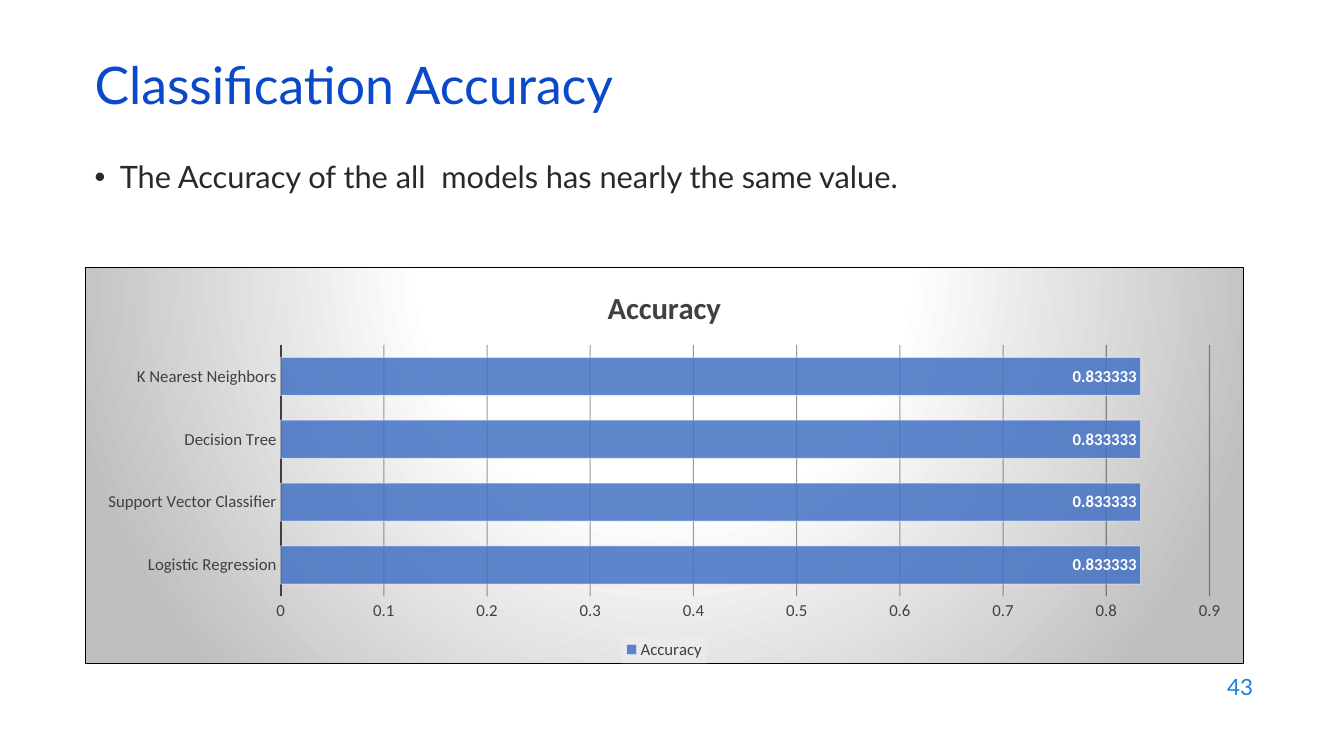
from dataclasses import dataclass
from typing import Any

import pptx
import pptx.chart.data
import pptx.dml.color
import pptx.enum.chart
import pptx.enum.text
import pptx.oxml
import pptx.oxml.ns
import pptx.util

Pt = pptx.util.Pt
Align = pptx.enum.text.PP_ALIGN
Anchor = pptx.enum.text.MSO_ANCHOR
Tick = pptx.enum.chart.XL_TICK_MARK


@dataclass(frozen=True)
class Theme:
    face: str = "Lato"
    plot: str = "Calibri"
    title: str = "0B49CB"
    body: str = "292929"
    page: str = "1C7DDB"
    label: str = "404040"
    grid: str = "0D0D0D"
    bar: str = "4472C4"
    white: str = "FFFFFF"
    black: str = "000000"
    gray: str = "BFBFBF"
    key: str = "F2F2F2"
    head_size: float = 37
    text_size: float = 22
    page_size: float = 16
    axis_size: float = 12


THEME = Theme()
LEFT, WIDTH = 60.5, 828


@dataclass(frozen=True)
class Box:
    text: str
    left: float
    top: float
    width: float
    height: float
    size: float
    color: str
    anchor: Any = Anchor.MIDDLE
    align: Any = Align.LEFT
    space: float = 1.0
    bullet: bool = False


BOXES = [
    Box("43", 686.16, 474.5, 216, 31.7, THEME.page_size, THEME.page, align=Align.RIGHT),
    Box("Classification Accuracy", LEFT, 42.5, WIDTH, 43.2,
        THEME.head_size, THEME.title, space=0.8),
    Box("The Accuracy of the all  models has nearly the same value.", LEFT, 109.4,
        WIDTH, 80.6, THEME.text_size, THEME.body, Anchor.TOP, bullet=True),
]
MODELS = ["Logistic Regression", "Support Vector Classifier",
          "Decision Tree", "K Nearest Neighbors"]
SCORE = 0.833333


def rgb(code: str) -> pptx.dml.color.RGBColor:
    return pptx.dml.color.RGBColor.from_string(code)


def style(font: Any, face: str, size: float, color: str, bold: bool = False) -> None:
    font.name = face
    font.size = Pt(size)
    font.bold = bold
    font.color.rgb = rgb(color)


def stroke(line: Any, color: str, width: float) -> None:
    line.color.rgb = rgb(color)
    line.width = Pt(width)


def fade(root: Any, route: str, share: int) -> None:
    for color in root.xpath(route + "/a:srgbClr"):
        alpha = color.makeelement(pptx.oxml.ns.qn("a:alpha"), {"val": str(share * 1000)})
        color.append(alpha)


def props(inner: str) -> Any:
    names = pptx.oxml.ns.nsdecls("c", "a")
    return pptx.oxml.parse_xml(f"<c:spPr {names}>{inner}</c:spPr>")


def tint(color: str, alpha: int = 100) -> str:
    return f'<a:srgbClr val="{color}"><a:alpha val="{alpha * 1000}"/></a:srgbClr>'


def solid(color: str, alpha: int = 100) -> str:
    return f"<a:solidFill>{tint(color, alpha)}</a:solidFill>"


def blend(stops: list[tuple[int, str, int]], form: str) -> str:
    marks = "".join(f'<a:gs pos="{pos * 1000}">{tint(color, alpha)}</a:gs>'
                    for pos, color, alpha in stops)
    return f"<a:gradFill><a:gsLst>{marks}</a:gsLst>{form}</a:gradFill>"


def write(slide: Any, box: Box) -> None:
    shape = slide.shapes.add_textbox(
        Pt(box.left), Pt(box.top), Pt(box.width), Pt(box.height))
    frame = shape.text_frame
    frame.word_wrap = True
    frame.vertical_anchor = box.anchor
    frame.text = box.text
    para = frame.paragraphs[0]
    para.alignment = box.align
    para.line_spacing = box.space
    if box.bullet:
        marks = para._p.get_or_add_pPr()
        marks.set("marL", str(Pt(18)))
        marks.set("indent", str(-Pt(18)))
        names = pptx.oxml.ns.nsdecls("a")
        marks.append(pptx.oxml.parse_xml(f'<a:buFont {names} typeface="Arial"/>'))
        marks.append(pptx.oxml.parse_xml(f'<a:buChar {names} char="•"/>'))
    style(para.runs[0].font, THEME.face, box.size, box.color)


def paint(chart: Any) -> None:
    glow = blend(
        [(0, THEME.white, 100), (39, THEME.white, 100), (100, THEME.gray, 100)],
        '<a:path path="circle"><a:fillToRect l="50000" t="-80000" r="50000" b="180000"/>'
        "</a:path>")
    rule = blend([(0, THEME.grid, 42), (100, THEME.gray, 36)],
                 '<a:lin ang="5400000" scaled="0"/>')
    root = chart.element
    edge = f'<a:ln w="{Pt(0.75)}">{solid(THEME.black)}</a:ln>'
    root.xpath("c:chart")[0].addnext(props(glow + edge))
    root.xpath(".//c:legend/c:txPr")[0].addprevious(props(solid(THEME.key, 39)))
    root.xpath(".//c:majorGridlines")[0].append(
        props(f'<a:ln w="{Pt(0.75)}">{rule}</a:ln>'))
    fade(root, ".//c:ser/c:spPr/a:solidFill", 85)
    fade(root, ".//c:ser/c:spPr/a:ln/a:solidFill", 50)


def plot(slide: Any) -> None:
    data = pptx.chart.data.CategoryChartData()
    data.categories = MODELS
    data.add_series("Accuracy", [SCORE] * len(MODELS))
    chart = slide.shapes.add_chart(
        pptx.enum.chart.XL_CHART_TYPE.BAR_CLUSTERED,
        Pt(LEFT), Pt(190.8), Pt(WIDTH), Pt(283.5), data).chart
    style(chart.font, THEME.plot, 10, THEME.black)

    chart.has_title = True
    title = chart.chart_title.text_frame
    title.text = "Accuracy"
    style(title.paragraphs[0].runs[0].font, THEME.plot, THEME.text_size, THEME.label, True)
    chart.chart_title.include_in_layout = False

    chart.has_legend = True
    chart.legend.position = pptx.enum.chart.XL_LEGEND_POSITION.BOTTOM
    chart.legend.include_in_layout = False
    for part in (chart.category_axis.tick_labels, chart.value_axis.tick_labels, chart.legend):
        style(part.font, THEME.plot, THEME.axis_size, THEME.label)

    for axis in (chart.category_axis, chart.value_axis):
        axis.major_tick_mark = axis.minor_tick_mark = Tick.NONE
    stroke(chart.category_axis.format.line, THEME.label, 1.5)
    value = chart.value_axis
    value.format.line.fill.background()
    value.minimum_scale, value.maximum_scale, value.major_unit = 0, 0.9, 0.1
    value.has_major_gridlines = True

    bars = chart.plots[0]
    bars.gap_width = 65
    bars.vary_by_categories = False
    series = bars.series[0]
    series.format.fill.solid()
    series.format.fill.fore_color.rgb = rgb(THEME.bar)
    stroke(series.format.line, THEME.white, 0.75)
    labels = series.data_labels
    labels.show_value = True
    labels.position = pptx.enum.chart.XL_LABEL_POSITION.INSIDE_END
    style(labels.font, THEME.plot, THEME.axis_size, THEME.white, True)
    paint(chart)


def main() -> None:
    deck = pptx.Presentation()
    deck.slide_width, deck.slide_height = Pt(960), Pt(540)
    slide = deck.slides.add_slide(deck.slide_layouts[6])
    plot(slide)
    for box in BOXES:
        write(slide, box)
    deck.save("out.pptx")


if __name__ == "__main__":
    main()
